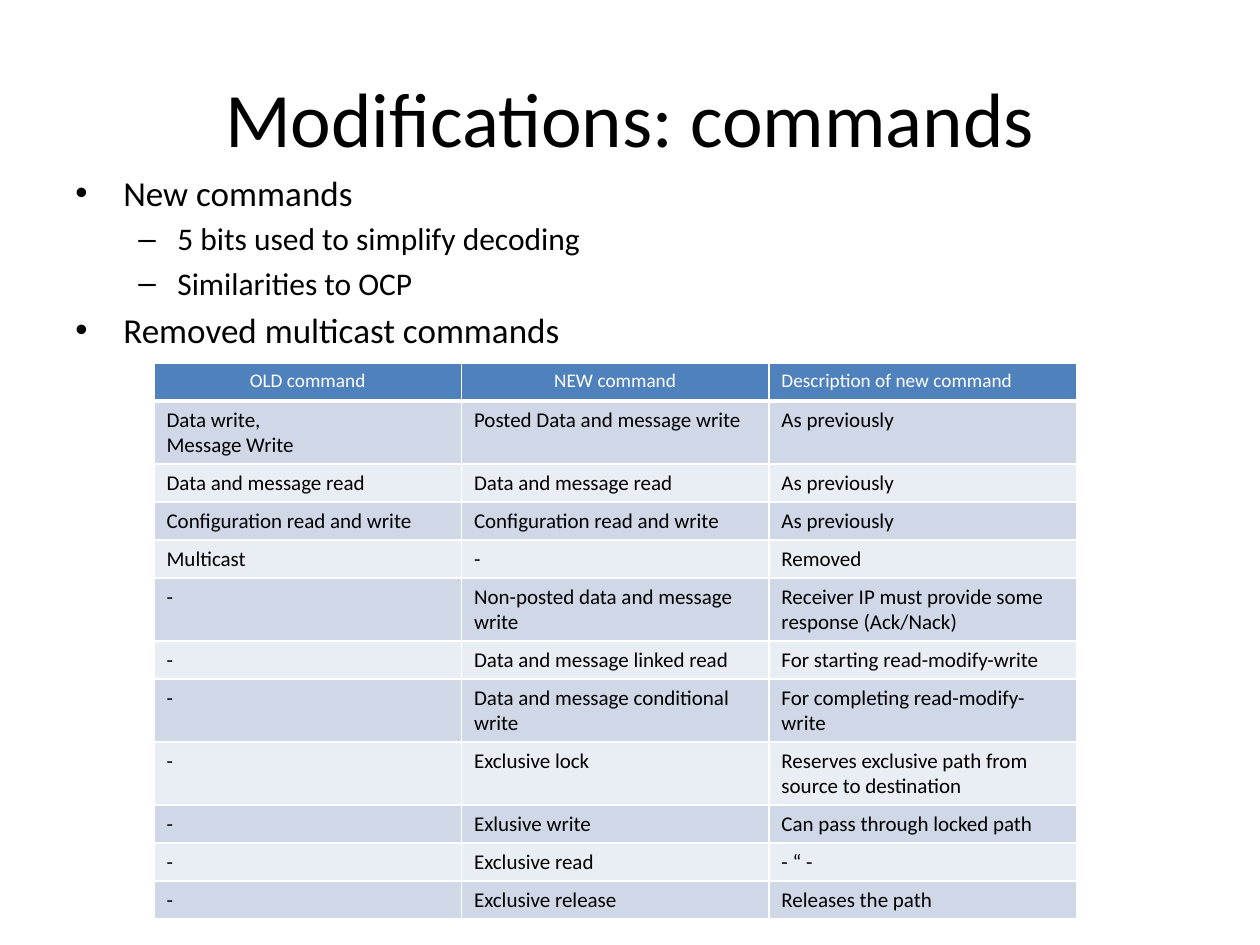
import pptx
import pptx.util
import pptx.dml.color
import pptx.enum.text
import pptx.oxml
import pptx.oxml.ns
import lxml.etree
from dataclasses import dataclass


@dataclass(frozen=True)
class Theme:
    """Colours, font and type sizes of the slide."""
    font: str = "Calibri"
    ink: str = "000000"
    white: str = "FFFFFF"
    head: str = "4F81BD"
    bands: tuple = ("D0D8E8", "E9EDF4")
    title: int = 44
    body: tuple = (20, 18)
    label: int = 11
    cell: int = 12


theme = Theme()
rgb = pptx.dml.color.RGBColor.from_string
align = pptx.enum.text.PP_ALIGN
qn = pptx.oxml.ns.qn


def px(n):
    """Turn pixels of the picture into EMU."""
    return pptx.util.Emu(round(n * 914400 / 126))


def write(para, text, size, color=theme.ink):
    """Add one run to a paragraph."""
    run = para.add_run()
    run.text = text
    run.font.name = theme.font
    run.font.size = pptx.util.Pt(size)
    run.font.color.rgb = rgb(color)


deck = pptx.Presentation()
deck.slide_width, deck.slide_height = px(1260), px(945)
slide = deck.slides.add_slide(deck.slide_layouts[6])

# Title
title = slide.shapes.add_textbox(px(63), px(38), px(1134), px(157)).text_frame
title.word_wrap = True
title.vertical_anchor = pptx.enum.text.MSO_ANCHOR.MIDDLE
title.paragraphs[0].alignment = align.CENTER
write(title.paragraphs[0], "Modifications: commands", theme.title)

# Bullets: mark, left margin and hanging indent per level
marks = (("•", 48, -48), ("–", 102, -39))
points = (
    (0, "New commands"),
    (1, "5 bits used to simplify decoding"),
    (1, "Similarities to OCP"),
    (0, "Removed multicast commands"),
)
body = slide.shapes.add_textbox(px(63), px(165), px(1134), px(679)).text_frame
body.word_wrap = True
for i, (level, text) in enumerate(points):
    para = body.add_paragraph() if i else body.paragraphs[0]
    size = theme.body[level]
    mark, left, hang = marks[level]
    para.level = level
    para.space_before = pptx.util.Pt(size * 0.2)
    props = para._p.get_or_add_pPr()
    props.set("marL", str(px(left)))
    props.set("indent", str(px(hang)))
    lxml.etree.SubElement(props, qn("a:buFont")).set("typeface", "Arial")
    lxml.etree.SubElement(props, qn("a:buChar")).set("char", mark)
    write(para, text, size)

# Table of commands
rows = (
    ("OLD command", "NEW command", "Description of new command"),
    ("Data write, \nMessage Write", "Posted Data and message write", "As previously"),
    ("Data and message read", "Data and message read", "As previously"),
    ("Configuration read and write", "Configuration read and write", "As previously"),
    ("Multicast", "-", "Removed"),
    ("-", "Non-posted data and message write",
     "Receiver IP must provide some response (Ack/Nack)"),
    ("-", "Data and message linked read", "For starting read-modify-write"),
    ("-", "Data and message conditional write", "For completing read-modify-write"),
    ("-", "Exclusive lock", "Reserves exclusive path from source to destination"),
    ("-", "Exlusive write", "Can pass through locked path"),
    ("-", "Exclusive read", "- “ -"),
    ("-", "Exclusive release", "Releases the path"),
)
tall = (1, 8)
table = slide.shapes.add_table(
    len(rows), 3, px(154), px(363), px(922), px(556)).table
for col in table.columns:
    col.width = px(307.5)
for r, row in enumerate(rows):
    table.rows[r].height = px(52 if r in tall else 38)
    top = r == 0
    fill = theme.head if top else theme.bands[(r - 1) % 2]
    size, color = (theme.label, theme.white) if top else (theme.cell, theme.ink)
    for c, text in enumerate(row):
        cell = table.cell(r, c)
        props = cell._tc.get_or_add_tcPr()
        for side in "LRTB":
            line = lxml.etree.SubElement(props, qn("a:ln" + side))
            wide = 3 if top and side == "B" else 1
            line.set("w", str(pptx.util.Pt(wide)))
            paint = lxml.etree.SubElement(line, qn("a:solidFill"))
            lxml.etree.SubElement(paint, qn("a:srgbClr")).set("val", theme.white)
        cell.fill.solid()
        cell.fill.fore_color.rgb = rgb(fill)
        frame = cell.text_frame
        for i, part in enumerate(text.split("\n")):
            para = frame.add_paragraph() if i else frame.paragraphs[0]
            para.alignment = align.CENTER if top and c < 2 else align.LEFT
            write(para, part, size, color)
            para.runs[0].font.bold = False

deck.save("out.pptx")
